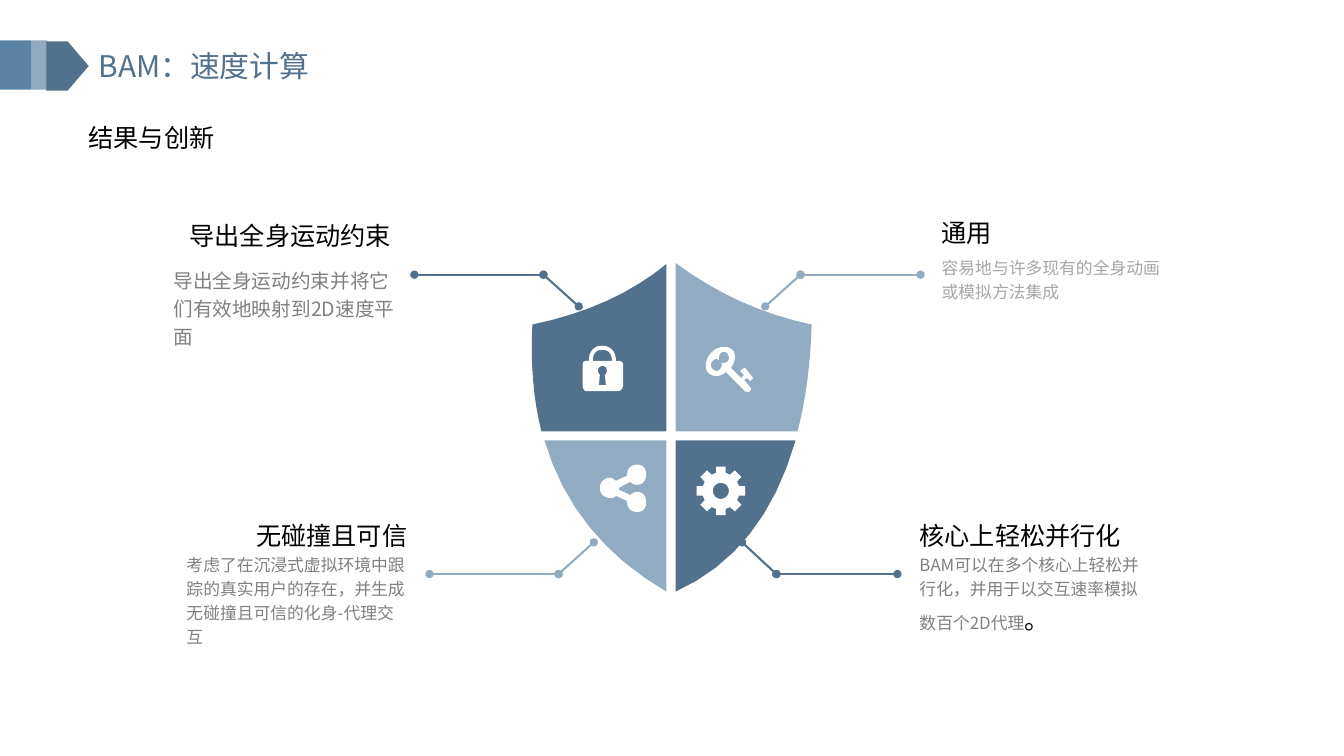
"""Build the slide on BAM velocity computation: a four-part shield with captions."""
import math

import lxml.etree
import pptx
import pptx.dml.color
import pptx.enum.shapes
import pptx.enum.text
import pptx.oxml.ns
import pptx.util

DARK, LIGHT, BLUE, WHITE = "51718D", "91ACC2", "5B83A4", "FFFFFF"
BLACK, GREY, PALE = "000000", "808080", "A6A6A6"
NOTO = "Noto Sans CJK SC"
CELL = pptx.util.Inches(0.1)
FINE = 100
CURVE_STEPS = 8

qn = pptx.oxml.ns.qn
MSO = pptx.enum.shapes.MSO_SHAPE
ALIGN = pptx.enum.text.PP_ALIGN
ANCHOR = pptx.enum.text.MSO_ANCHOR


def paint(fill, colour):
    """Give a fill, line fill or font fill one solid colour."""
    fill.solid()
    fill.fore_color.rgb = pptx.dml.color.RGBColor.from_string(colour)


def flatten(outline):
    """Turn an outline of M, L and C commands, in cells, into lists of points."""
    contours = []
    command = None
    pending = []
    for token in outline.split():
        if token in "MLC":
            command = token
            continue
        pending.append(float(token) * FINE)
        if len(pending) < (6 if command == "C" else 2):
            continue
        if command == "M":
            contours.append([tuple(pending)])
        elif command == "L":
            contours[-1].append(tuple(pending))
        else:
            x0, y0 = contours[-1][-1]
            x1, y1, x2, y2, x3, y3 = pending
            for step in range(1, CURVE_STEPS + 1):
                t = step / CURVE_STEPS
                a, b, c, d = (1 - t) ** 3, 3 * t * (1 - t) ** 2, 3 * t * t * (1 - t), t ** 3
                contours[-1].append((a * x0 + b * x1 + c * x2 + d * x3,
                                     a * y0 + b * y1 + c * y2 + d * y3))
        pending = []
    return contours


deck = pptx.Presentation()
deck.slide_width = pptx.util.Inches(13.33)
deck.slide_height = pptx.util.Inches(7.5)
slide = deck.slides.add_slide(deck.slide_layouts[6])

header_marks = [
    (MSO.RECTANGLE, 0, 4, 3.1, BLUE),
    (MSO.RECTANGLE, 3.1, 4, 1.6, "91AAC0"),
    (MSO.PENTAGON, 4.6, 4.1, 4.2, DARK),
]
for preset, col, row, cols, colour in header_marks:
    mark = slide.shapes.add_shape(preset, int(col * CELL), int(row * CELL),
                                  int(cols * CELL), int(4.9 * CELL))
    mark.shadow.inherit = False
    paint(mark.fill, colour)
    mark.line.fill.background()

gear_col, gear_row = 71.5, 48.7
gear_rim = []
for tooth in range(8):
    for radius, offset in ((1.85, -15), (2.45, -11), (2.45, 11), (1.85, 15)):
        angle = math.radians(45 * tooth + offset)
        gear_rim.append(f"{gear_col + radius * math.cos(angle)} {gear_row + radius * math.sin(angle)}")
gear_hole = [
    f"{gear_col + 0.8 * math.cos(math.radians(angle))} {gear_row + 0.8 * math.sin(math.radians(angle))}"
    for angle in range(0, 360, 15)
]
gear = "M " + " L ".join(gear_rim) + " M " + " L ".join(gear_hole)

lock = """M 61.3 35.8 L 61.1 35.8 C 61.1 34.8 60.5 34.3 59.7 34.3 C 59 34.3 58.4 34.8 58.4 35.8
L 58.2 35.8 C 57.9 35.8 57.8 35.9 57.8 36.2 L 57.8 38.2 C 57.8 38.5 57.9 38.8 58.2 38.8
L 61.3 38.8 C 61.6 38.8 61.8 38.5 61.8 38.2 L 61.8 36.2 C 61.8 35.9 61.6 35.8 61.3 35.8
M 60.1 38.2 L 59.4 38.2 L 59.5 37.2 C 59.4 37.1 59.3 36.9 59.3 36.8
C 59.3 36.5 59.5 36.3 59.8 36.3 C 60 36.3 60.2 36.5 60.2 36.8 C 60.2 36.9 60.1 37.1 60 37.2
M 58.8 35.8 C 58.8 34.9 59.3 34.7 59.7 34.7 C 60.2 34.7 60.7 34.9 60.7 35.8"""
key = """M 74.4 37.8 L 74.1 37.5 L 73.8 37.7 L 74.4 38.4 C 74.4 38.5 74.5 38.5 74.5 38.6
C 74.5 38.7 74.3 38.9 74.2 38.9 C 74.1 38.9 74 38.9 73.9 38.8 L 72 36.9
C 71.8 37.1 71.4 37.3 71.1 37.3 C 70.4 37.3 70 36.9 70 36.3 C 70 35.3 70.9 34.4 71.8 34.4
C 72.5 34.4 72.9 34.8 72.9 35.4 C 72.9 35.8 72.7 36.2 72.5 36.5 L 73.5 37.5 L 73.8 37.2
L 73.4 36.8 L 73.8 36.5 L 73.9 36.5 L 74.7 37.5
M 71.8 34.9 C 71.5 34.9 71.3 35.2 71.3 35.5 L 71.3 35.7 C 71.2 35.7 71.1 35.6 71.1 35.6
C 70.8 35.6 70.5 35.9 70.5 36.2 C 70.5 36.5 70.8 36.8 71.1 36.8 C 71.3 36.8 71.6 36.5 71.6 36.2
C 71.6 36.1 71.6 36 71.5 36 L 71.8 36 C 72.1 36 72.3 35.8 72.3 35.5 C 72.3 35.2 72.1 34.9 71.8 34.9"""
share = """M 64.1 49.8 C 64.1 50.4 63.8 50.8 63.2 50.8 C 62.6 50.8 62.2 50.4 62.2 49.8
L 62.2 49.7 L 61.1 49.2 C 60.9 49.4 60.7 49.4 60.5 49.4 C 59.9 49.4 59.5 49 59.5 48.4
C 59.5 47.9 59.9 47.4 60.5 47.4 C 60.7 47.4 60.9 47.6 61.1 47.7 L 62.2 47.2 L 62.2 47.1
C 62.2 46.5 62.6 46.1 63.2 46.1 C 63.8 46.1 64.1 46.5 64.1 47.1 C 64.1 47.6 63.8 48.1 63.2 48.1
C 62.9 48.1 62.7 48 62.5 47.8 L 61.4 48.4 L 61.4 48.6 L 62.5 49.1
C 62.7 49 62.9 48.8 63.2 48.8 C 63.8 48.8 64.1 49.3 64.1 49.8"""
shield = [
    ("M 52.8 32.2 C 58.2 31.1 62.7 29 66.1 26.2 L 66.1 42.8 L 53.7 42.8 C 52.9 39.6 52.6 36.1 52.8 32.2", DARK),
    (lock, WHITE),
    ("M 79.1 42.8 L 67 42.8 L 67 26.1 C 71.2 29.2 75.7 31.2 80.5 32.2 C 80.4 36.2 79.9 39.7 79.1 42.8", LIGHT),
    (key, WHITE),
    ("M 66.1 43.7 L 66.1 58.7 C 59.9 55.1 55.9 50.1 54 43.7", LIGHT),
    (share, WHITE),
    ("M 67 43.7 L 78.9 43.7 C 76.8 51.1 72.8 56.1 67 58.7", DARK),
    (gear, WHITE),
]
for outline, colour in shield:
    contours = flatten(outline)
    builder = slide.shapes.build_freeform(*contours[0][0], scale=CELL / FINE)
    builder.add_line_segments(contours[0][1:], close=True)
    for contour in contours[1:]:
        builder.move_to(*contour[0])
        builder.add_line_segments(contour[1:], close=True)
    piece = builder.convert_to_shape()
    piece.shadow.inherit = False
    paint(piece.fill, colour)
    piece.line.fill.background()

leaders = [
    ((58.9, 53.8), (55.4, 56.95), (42.6, 56.95), LIGHT),
    ((73.6, 53.8), (77, 56.95), (89, 56.95), DARK),
    ((57.4, 30.4), (53.9, 27.25), (41.1, 27.25), DARK),
    ((75.9, 30.4), (79.4, 27.25), (91.3, 27.25), LIGHT),
]
for tip, knee, end, colour in leaders:
    for start, stop in ((tip, knee), (knee, end)):
        leader = slide.shapes.add_connector(
            pptx.enum.shapes.MSO_CONNECTOR.STRAIGHT,
            *(int(place * CELL) for place in start + stop))
        leader.line.width = pptx.util.Pt(1.5)
        paint(leader.line.fill, colour)
        for dot in ("a:headEnd", "a:tailEnd"):
            lxml.etree.SubElement(leader.line._get_or_add_ln(), qn(dot), type="oval")
        lxml.etree.SubElement(leader._element.spPr, qn("a:effectLst"))

headings = [
    ("BAM：速度计算", 8.8, 4.2, 26.8, 4.6, 21.3, DARK),
    ("结果与创新", 7.8, 11.6, 15.3, 4, 18, BLACK),
]
for words, col, row, cols, rows, size, colour in headings:
    heading = slide.shapes.add_textbox(*(int(n * CELL) for n in (col, row, cols, rows)))
    heading.text_frame.text = words
    font = heading.text_frame.paragraphs[0].runs[0].font
    font.size = pptx.util.Pt(size)
    font.name = NOTO
    paint(font.fill, colour)
    lxml.etree.SubElement(font._element, qn("a:ea"), typeface=NOTO)

captions = [
    ("导出全身运动约束", 18.6, 21.4, 20.2, 3.4, ALIGN.RIGHT, [(18, BLACK)], NOTO, ""),
    ("导出全身运动约束并将它们有效地映射到2D速度平面", 17.2, 26.2, 22, 8.3, ALIGN.LEFT, [(14, GREY)], NOTO, ""),
    ("无碰撞且可信", 25.3, 51.1, 15.1, 3.4, ALIGN.RIGHT, [(18, BLACK)], NOTO, ""),
    ("考虑了在沉浸式虚拟环境中跟踪的真实用户的存在，并生成无碰撞且可信的化身-代理交互",
     18.5, 54.6, 22, 9.5, ALIGN.LEFT, [(12, GREY)], NOTO, ""),
    ("通用", 93.4, 21.1, 5, 3.4, ALIGN.LEFT, [(18, BLACK)], NOTO, ""),
    ("容易地与许多现有的全身动画或模拟方法集成", 93.4, 25.2, 22, 4.6, ALIGN.LEFT, [(12, PALE)], "Arial", ""),
    ("核心上轻松并行化", 91.2, 51.1, 20.2, 3.4, ALIGN.LEFT, [(18, BLACK)], NOTO, ""),
    ("BAM可以在多个核心上轻松并行化，并用于以交互速率模拟数百个2D代理",
     91.2, 54.6, 22, 8.2, ALIGN.LEFT, [(12, GREY), (18, BLACK)], NOTO, "。"),
]
for words, col, row, cols, rows, align, looks, face, ending in captions:
    caption = slide.shapes.add_textbox(*(int(n * CELL) for n in (col, row, cols, rows)))
    frame = caption.text_frame
    frame.margin_left = frame.margin_right = frame.margin_top = frame.margin_bottom = 0
    is_title = rows == 3.4
    frame.word_wrap = not is_title
    frame.vertical_anchor = ANCHOR.MIDDLE if is_title else ANCHOR.TOP
    frame.text = words
    paragraph = frame.paragraphs[0]
    paragraph.alignment = align
    paragraph.line_spacing = 1.2
    if ending:
        paragraph.add_run().text = ending
    for run, (size, colour) in zip(paragraph.runs, looks):
        run.font.size = pptx.util.Pt(size)
        run.font.name = face
        paint(run.font.fill, colour)
        lxml.etree.SubElement(run.font._element, qn("a:ea"), typeface=NOTO)

deck.save("out.pptx")
